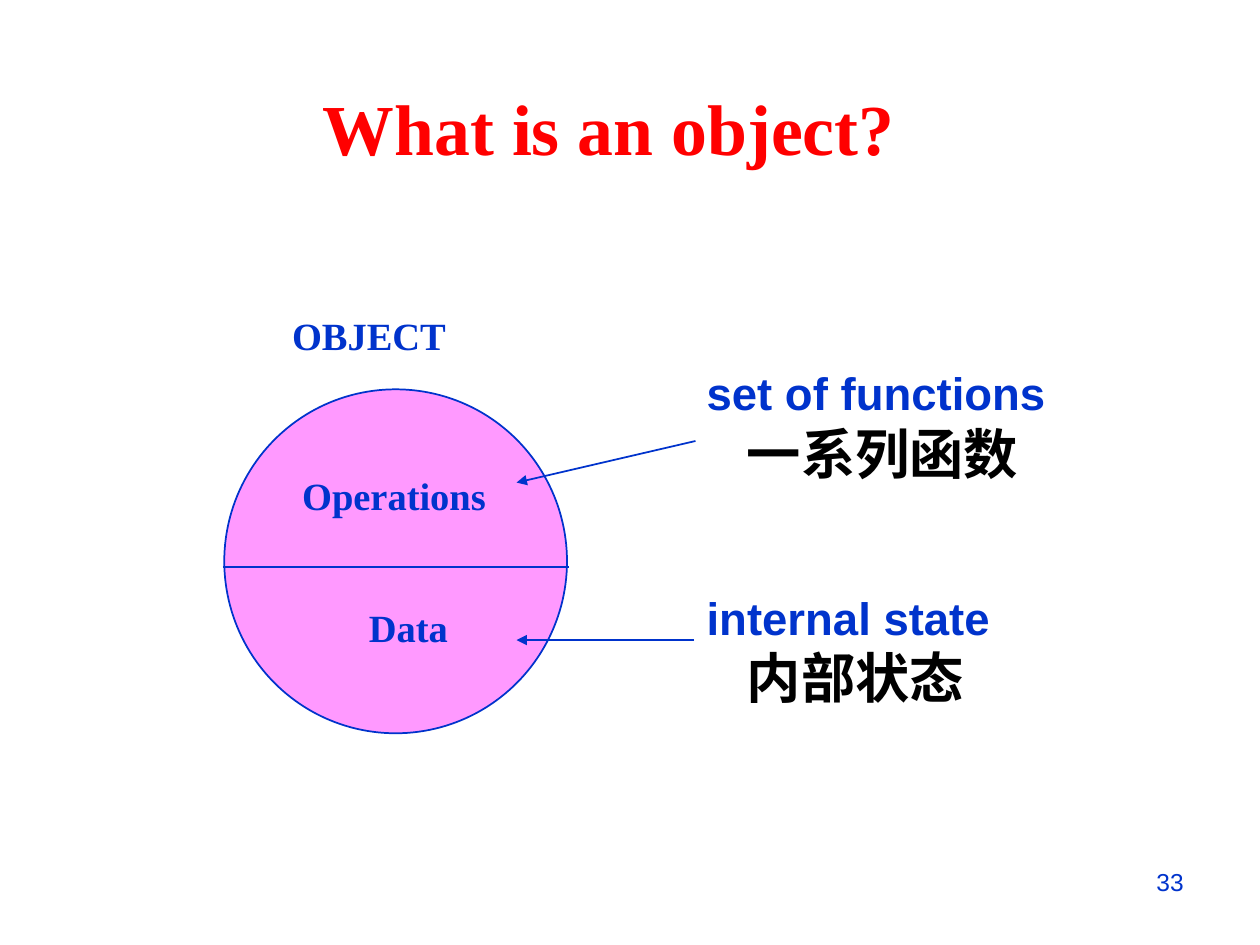
from lxml import etree
from pptx import Presentation
from pptx.dml.color import RGBColor
from pptx.enum import shapes, text
from pptx.oxml import ns
from pptx.util import Inches, Pt

COLORS = {"title": "FF0000", "ink": "0033CC", "chinese": "000000", "circle": "FF99FF"}
SERIF, SANS = "Times New Roman", "Arial"


def rgb(name):
    return RGBColor.from_string(COLORS[name])


def set_paragraph(paragraph, words, size, font=SERIF, color="ink", bold=True,
                  indent=0, before=0):
    """Fill one paragraph; indent is in inches, space before in points."""
    paragraph.text = words
    if indent:
        paragraph._p.get_or_add_pPr().set("marL", str(Inches(indent)))
    if before:
        paragraph.space_before = Pt(before)
    paragraph.font.name = font
    paragraph.font.size = Pt(size)
    paragraph.font.bold = bold
    paragraph.font.color.rgb = rgb(color)


def add_text(slide, left, top, width, height, lines):
    """Add a text box; each line is a dict of set_paragraph arguments."""
    frame = slide.shapes.add_textbox(
        Inches(left), Inches(top), Inches(width), Inches(height)).text_frame
    frame.word_wrap = False
    for number, line in enumerate(lines):
        paragraph = frame.add_paragraph() if number else frame.paragraphs[0]
        set_paragraph(paragraph, **line)


def add_title(slide, words):
    title = slide.shapes.title
    title.left, title.top = Inches(0.01), Inches(0.61)
    title.width, title.height = Inches(9.79), Inches(0.79)
    frame = title.text_frame
    frame.auto_size = text.MSO_AUTO_SIZE.NONE
    frame.vertical_anchor = text.MSO_ANCHOR.BOTTOM
    set_paragraph(frame.paragraphs[0], words, 41, color="title")
    frame.paragraphs[0].alignment = text.PP_ALIGN.CENTER


def add_circle(slide, left, top, width, height):
    circle = slide.shapes.add_shape(
        shapes.MSO_SHAPE.OVAL, Inches(left), Inches(top), Inches(width), Inches(height))
    circle.shadow.inherit = False
    circle.fill.solid()
    circle.fill.fore_color.rgb = rgb("circle")
    circle.line.color.rgb = rgb("ink")
    circle.line.width = Pt(1)


def add_line(slide, start, end, arrow=False):
    line = slide.shapes.add_connector(
        shapes.MSO_CONNECTOR.STRAIGHT, *map(Inches, start + end))
    line.line.color.rgb = rgb("ink")
    line.line.width = Pt(1)
    if arrow:
        etree.SubElement(line.line._get_or_add_ln(), ns.qn("a:tailEnd"), type="triangle")
    etree.SubElement(line._element.spPr, ns.qn("a:effectLst"))


def main():
    deck = Presentation()
    deck.slide_width, deck.slide_height = Inches(10), Inches(7.5)
    slide = deck.slides.add_slide(deck.slide_layouts[5])

    add_title(slide, "What is an object? ")
    add_text(slide, 2.22, 2.43, 1.44, 0.47, [dict(words="OBJECT", size=22)])
    add_circle(slide, 1.78, 3.09, 2.72, 2.73)
    add_text(slide, 2.3, 3.7, 1.68, 1.52, [
        dict(words="Operations", size=22),
        dict(words="Data", size=22, indent=0.53, before=49),
    ])
    add_line(slide, (5.52, 3.5), (4.1, 3.83), arrow=True)

    meanings = []
    for english, chinese in (("set of functions", "一系列函数"),
                             ("internal state", "内部状态")):
        meanings += [
            dict(words=english, size=26, font=SANS, before=60 if meanings else 0),
            dict(words=chinese, size=31, color="chinese", indent=0.32),
        ]
    add_text(slide, 5.51, 2.85, 2.92, 2.9, meanings)

    add_line(slide, (5.51, 5.08), (4.1, 5.08), arrow=True)
    add_line(slide, (1.77, 4.5), (4.52, 4.5))
    add_text(slide, 9.08, 6.83, 0.42, 0.34,
             [dict(words="33", size=14, font=SANS, bold=False)])
    deck.save("out.pptx")


if __name__ == "__main__":
    main()
